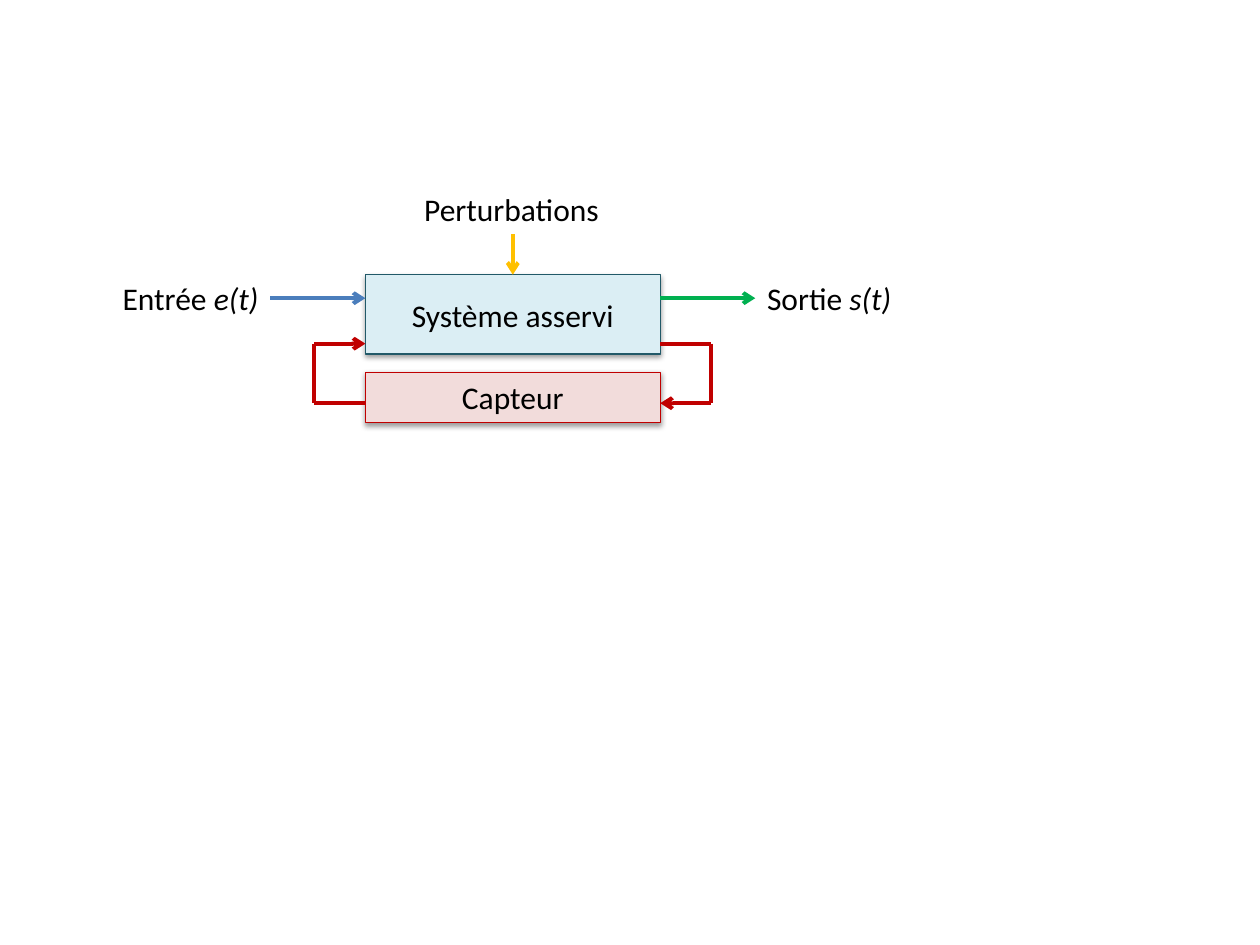
from dataclasses import dataclass

from lxml import etree
from pptx import Presentation
from pptx.dml.color import RGBColor
from pptx.enum.shapes import MSO_CONNECTOR, MSO_SHAPE
from pptx.enum.text import MSO_ANCHOR, MSO_AUTO_SIZE, PP_ALIGN
from pptx.oxml import parse_xml
from pptx.oxml.ns import nsdecls, qn
from pptx.util import Pt

STRAIGHT = MSO_CONNECTOR.STRAIGHT
RECTANGLE = MSO_SHAPE.RECTANGLE
MIDDLE = MSO_ANCHOR.MIDDLE
FIT_TEXT = MSO_AUTO_SIZE.SHAPE_TO_FIT_TEXT
LEFT, CENTER, RIGHT = PP_ALIGN.LEFT, PP_ALIGN.CENTER, PP_ALIGN.RIGHT

RED = "C00000"
BOX_LEFT, BOX_RIGHT = 208.8, 377.3
BOX_TOP = 157
MIDDLE_X = (BOX_LEFT + BOX_RIGHT) / 2
SIGNAL_Y = 170.4
SIGNAL_LENGTH = 54.3
LOOP_TOP, LOOP_BOTTOM = 196.4, 230.4
LOOP_LEFT, LOOP_RIGHT = 179.6, 406.1
LABEL_HEIGHT = 29.1


@dataclass
class Box:
    """A filled block of the diagram."""
    text: str
    top: float
    height: float
    fill: str
    line: str


@dataclass
class Label:
    """A signal name; the symbol is set in italics."""
    text: str
    symbol: str
    left: float
    top: float
    width: float
    align: PP_ALIGN


@dataclass
class Link:
    """A straight line, with or without an arrowhead at its end."""
    x1: float
    y1: float
    x2: float
    y2: float
    color: str
    arrow: bool = False


BOXES = [
    Box("Système asservi", BOX_TOP, 45.4, "DBEEF4", "215968"),
    Box("Capteur", 212.7, 28.8, "F2DCDB", RED),
]
LABELS = [
    Label("Sortie ", "s(t)", 431.2, 155.8, 114.5, LEFT),
    Label("Entrée ", "e(t)", 40.3, 155.8, 114.5, RIGHT),
    Label("Perturbations", "", 224.6, 105, 135.4, CENTER),
]
LINKS = [
    Link(BOX_RIGHT, SIGNAL_Y, BOX_RIGHT + SIGNAL_LENGTH, SIGNAL_Y, "00B050", True),
    Link(BOX_LEFT - SIGNAL_LENGTH, SIGNAL_Y, BOX_LEFT, SIGNAL_Y, "4B7EBC", True),
    Link(MIDDLE_X, 133.9, MIDDLE_X, BOX_TOP, "FFC000", True),
    Link(BOX_RIGHT, LOOP_TOP, LOOP_RIGHT, LOOP_TOP, RED),
    Link(LOOP_RIGHT, LOOP_TOP, LOOP_RIGHT, LOOP_BOTTOM, RED),
    Link(LOOP_RIGHT, LOOP_BOTTOM, BOX_RIGHT, LOOP_BOTTOM, RED, True),
    Link(BOX_LEFT, LOOP_BOTTOM, LOOP_LEFT, LOOP_BOTTOM, RED),
    Link(LOOP_LEFT, LOOP_BOTTOM, LOOP_LEFT, LOOP_TOP, RED),
    Link(LOOP_LEFT, LOOP_TOP, BOX_LEFT, LOOP_TOP, RED, True),
]


def rgb(color: str) -> RGBColor:
    """Turn a hex string into a colour."""
    return RGBColor.from_string(color)


def format_paragraph(p, align: PP_ALIGN) -> None:
    """Apply the common font and the given alignment."""
    p.alignment = align
    p.font.name = "Calibri"
    p.font.size = Pt(18)
    p.font.color.rgb = rgb("000000")


def add_shadow(sp) -> None:
    """Give a shape a soft shadow below it."""
    sp.shadow.inherit = False
    effects = sp._element.spPr.find(qn("a:effectLst"))
    effects.append(parse_xml(
        f'<a:outerShdw {nsdecls("a")} blurRad="{Pt(3.1)}" dist="{Pt(1.6)}" '
        'dir="5400000" rotWithShape="0"><a:srgbClr val="000000">'
        '<a:alpha val="38000"/></a:srgbClr></a:outerShdw>'))


def add_box(s, box: Box) -> None:
    """Draw a block with centred text."""
    sp = s.shapes.add_shape(RECTANGLE, Pt(BOX_LEFT), Pt(box.top),
                            Pt(BOX_RIGHT - BOX_LEFT), Pt(box.height))
    sp.fill.solid()
    sp.fill.fore_color.rgb = rgb(box.fill)
    sp.line.color.rgb = rgb(box.line)
    sp.line.width = Pt(0.75)
    add_shadow(sp)
    tf = sp.text_frame
    tf.vertical_anchor = MIDDLE
    p = tf.paragraphs[0]
    p.text = box.text
    format_paragraph(p, CENTER)


def add_label(s, label: Label) -> None:
    """Write a signal name."""
    sp = s.shapes.add_textbox(Pt(label.left), Pt(label.top),
                              Pt(label.width), Pt(LABEL_HEIGHT))
    tf = sp.text_frame
    tf.word_wrap = True
    tf.auto_size = FIT_TEXT
    p = tf.paragraphs[0]
    format_paragraph(p, label.align)
    p.add_run().text = label.text
    if label.symbol:
        r = p.add_run()
        r.text = label.symbol
        r.font.italic = True


def add_link(s, link: Link) -> None:
    """Draw a line or an arrow."""
    sp = s.shapes.add_connector(STRAIGHT, Pt(link.x1), Pt(link.y1),
                                Pt(link.x2), Pt(link.y2))
    sp.line.color.rgb = rgb(link.color)
    sp.line.width = Pt(2.25)
    if link.arrow:
        ln = sp.line._get_or_add_ln()
        etree.SubElement(ln, qn("a:tailEnd"), type="arrow")
    etree.SubElement(sp._element.spPr, qn("a:effectLst"))


def main() -> None:
    """Build the feedback loop diagram."""
    prs = Presentation()
    prs.slide_width, prs.slide_height = Pt(720), Pt(540)
    s = prs.slides.add_slide(prs.slide_layouts[6])
    for box in BOXES:
        add_box(s, box)
    for label in LABELS:
        add_label(s, label)
    for link in LINKS:
        add_link(s, link)
    prs.save("out.pptx")


main()
